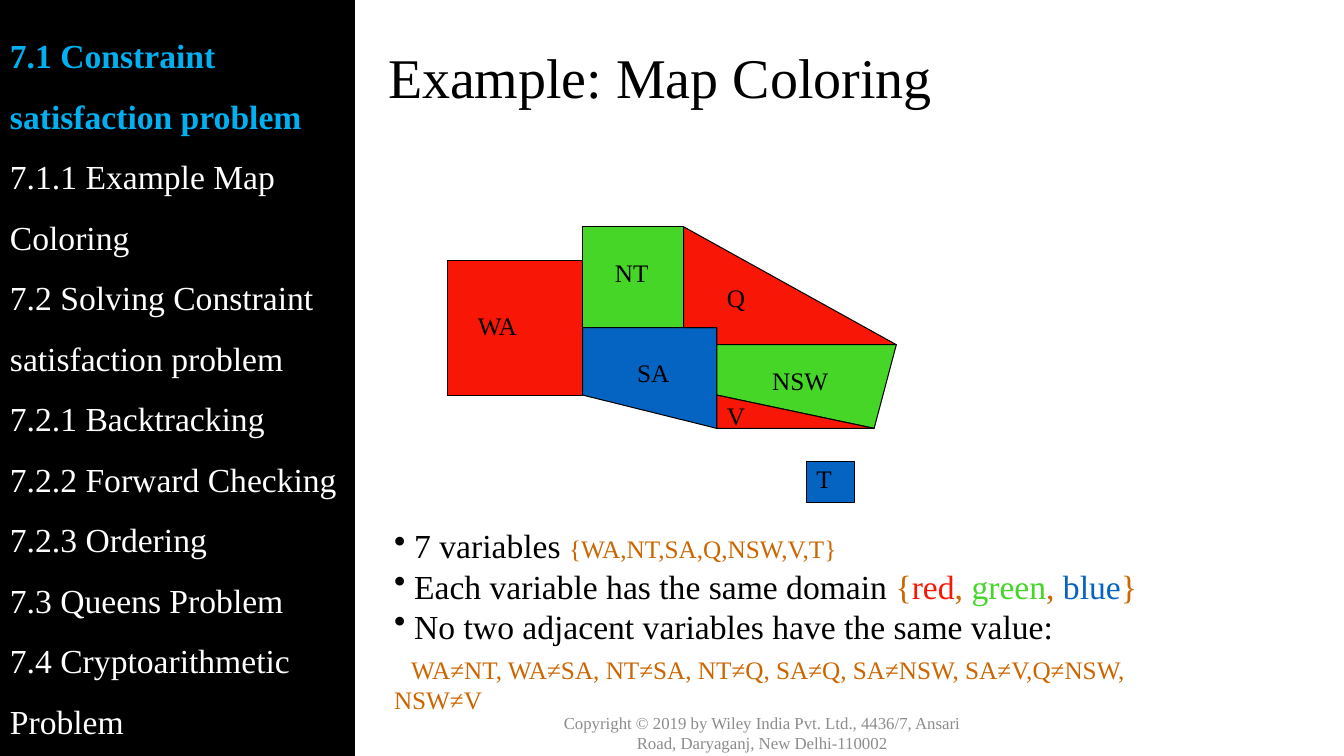
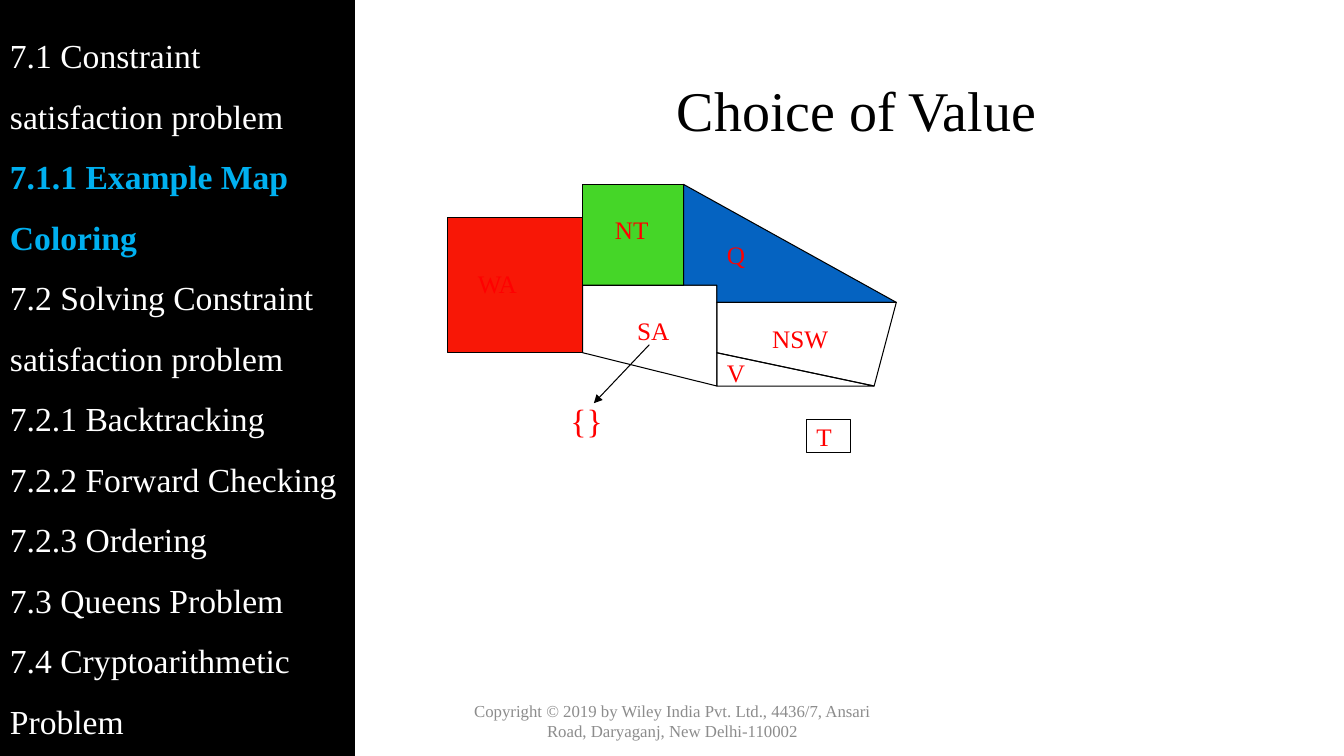
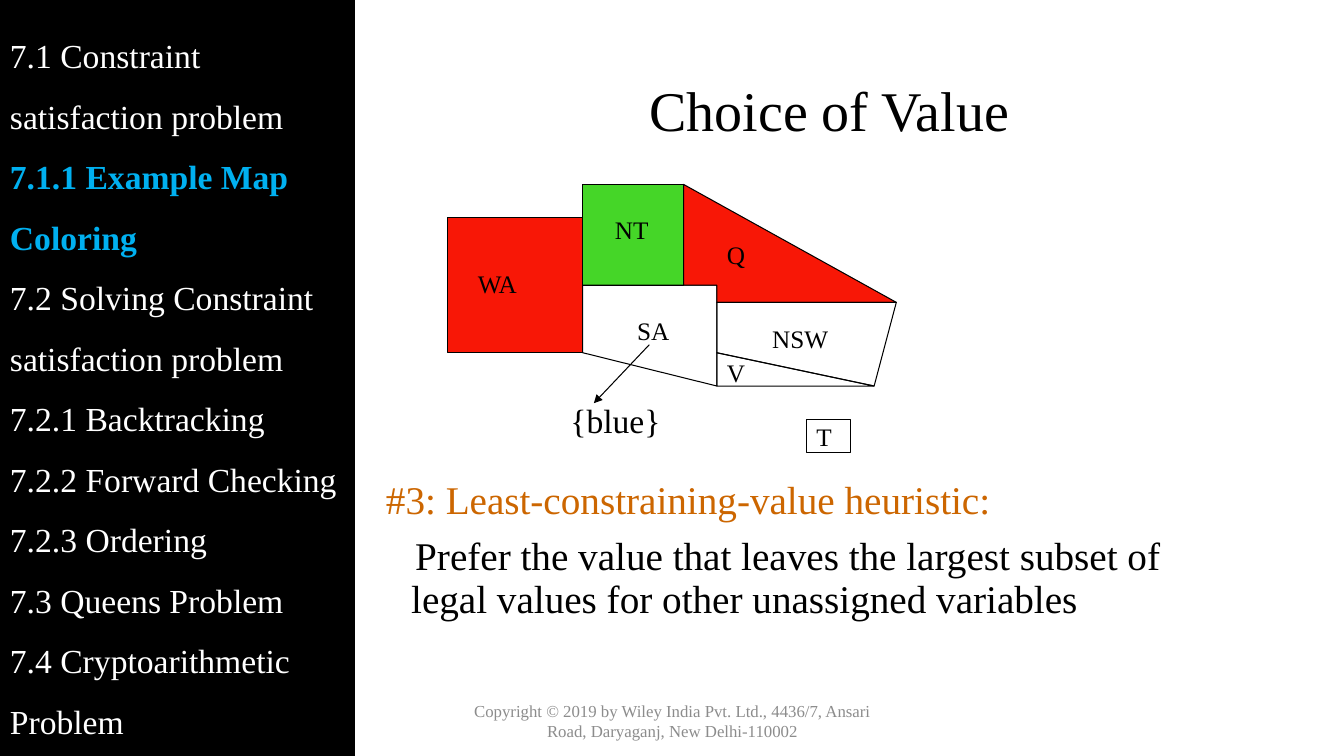
"""Build three slides on map coloring as a constraint satisfaction problem."""
from dataclasses import dataclass

from lxml.etree import SubElement
from pptx import Presentation
from pptx.dml.color import RGBColor
from pptx.enum.shapes import MSO_CONNECTOR as Link, MSO_SHAPE as Form
from pptx.enum.text import MSO_ANCHOR as Anchor, PP_ALIGN as Align
from pptx.oxml.ns import qn
from pptx.util import Inches, Pt


@dataclass(frozen=True)
class Theme:
    font: str = "Times New Roman"
    black: str = "000000"
    white: str = "FFFFFF"
    sky: str = "00B0F0"
    grey: str = "8C8C8C"
    orange: str = "CC6600"
    red: str = "F81706"
    green: str = "45D628"
    blue: str = "0563C1"
    alert: str = "FF0000"
    title: int = 40
    body: int = 28
    text: int = 24
    label: int = 18
    foot: int = 12
    line: float = 0.75


def add_box(slide, at, anchor=Anchor.TOP, wrap=True):
    frame = slide.shapes.add_textbox(*map(Inches, at)).text_frame
    frame.word_wrap = wrap
    frame.vertical_anchor = anchor
    return frame


def set_para(para, runs, size, hue, align=Align.LEFT, lead=1.0, indent=None):
    if indent:
        props = para._p.get_or_add_pPr()
        props.set("marL", str(Inches(indent[0])))
        props.set("indent", str(Inches(indent[1])))
        if len(indent) > 2:
            SubElement(props, qn("a:buChar")).set("char", indent[2])
    para.alignment = align
    para.line_spacing = lead
    para.font.name = theme.font
    para.font.size = Pt(size)
    para.font.color.rgb = RGBColor.from_string(hue)
    for text, tint, points in runs:
        run = para.add_run()
        run.text = text
        if tint != hue:
            run.font.color.rgb = RGBColor.from_string(tint)
        if points != size:
            run.font.size = Pt(points)


theme = Theme()
topics = [
    "7.1 Constraint satisfaction problem",
    "7.1.1 Example Map Coloring",
    "7.2 Solving Constraint satisfaction problem",
    "7.2.1 Backtracking",
    "7.2.2 Forward Checking",
    "7.2.3 Ordering",
    "7.3 Queens Problem",
    "7.4 Cryptoarithmetic Problem",
]
notice = "Copyright © 2019 by Wiley India Pvt. Ltd., 4436/7, Ansari Road, Daryaganj, New Delhi-110002"

blocks = {"WA": (4.44, 0.33, 1.34, 1.34), "NT": (5.78, 0, 1, 1)}
outlines = {
    "SA": [(5.78, 1), (7.11, 1), (7.11, 2), (5.78, 1.67)],
    "Q": [(6.78, 0), (8.89, 1.17), (7.11, 1.17), (7.11, 1), (6.78, 1)],
    "NSW": [(7.11, 1.17), (7.11, 1.67), (8.67, 2), (8.89, 1.17)],
    "V": [(7.11, 1.67), (7.11, 2), (8.67, 2)],
}
labels = {
    "WA": (4.64, 0.78, 0.59),
    "NT": (6, 0.25, 0.54),
    "SA": (6.22, 1.25, 0.53),
    "Q": (7.11, 0.5, 0.38),
    "NSW": (7.56, 1.33, 0.76),
    "V": (7.11, 1.67, 0.38),
    "T": (8, 2.3, 0.36),
}
start = {"WA": theme.red, "NT": theme.green}
full = start | {"SA": theme.blue, "Q": theme.red, "NSW": theme.green,
                "V": theme.red, "T": theme.blue}

pages = [
    dict(title="Example: Map Coloring", place=(3.75, 0.18, 8.05, 1.23),
         align=Align.LEFT, topic=0, top=2.25, hues=full, ink=theme.black,
         isle=(0.48, 0.41), foot=(5.31, 7.07), choice=None),
    dict(title="Choice of Value", place=(4.57, 0.4, 7.85, 1.45),
         align=Align.CENTER, topic=1, top=1.83, hues=start | {"Q": theme.blue},
         ink=theme.alert, isle=(0.44, 0.33), foot=(4.42, 6.95), choice=("{}", 0.53)),
    dict(title="Choice of Value", place=(4.03, 0.4, 8.39, 1.45),
         align=Align.CENTER, topic=1, top=1.83, hues=start | {"Q": theme.red},
         ink=theme.black, isle=(0.44, 0.33), foot=(4.42, 6.95), choice=("{blue}", 1.1)),
]

deck = Presentation()
deck.slide_width, deck.slide_height = Inches(13.33), Inches(7.5)
slides = []

for page in pages:
    slide = deck.slides.add_slide(deck.slide_layouts[6])
    slides.append(slide)
    shapes = slide.shapes

    frame = add_box(slide, page["place"], Anchor.MIDDLE)
    set_para(frame.paragraphs[0], [(page["title"], theme.black, theme.title)],
             theme.title, theme.black, page["align"], 0.9)

    top = page["top"]
    areas = {}
    for name, (x, y, w, h) in (blocks | {"T": (8, 2.33, *page["isle"])}).items():
        areas[name] = shapes.add_shape(Form.RECTANGLE, *map(Inches, (x, top + y, w, h)))
    for name, points in outlines.items():
        spots = [(Inches(x), Inches(top + y)) for x, y in points]
        pen = shapes.build_freeform(*spots[0])
        pen.add_line_segments(spots[1:])
        areas[name] = pen.convert_to_shape()
    for name, area in areas.items():
        area.shadow.inherit = False
        area.line.color.rgb = RGBColor.from_string(theme.black)
        area.line.width = Pt(theme.line)
        if name in page["hues"]:
            area.fill.solid()
            area.fill.fore_color.rgb = RGBColor.from_string(page["hues"][name])
        else:
            area.fill.background()
    for name, (x, y, w) in labels.items():
        frame = add_box(slide, (x, top + y, w, 0.4), wrap=False)
        set_para(frame.paragraphs[0], [(name, page["ink"], theme.label)],
                 theme.label, page["ink"])

    if page["choice"]:
        text, width = page["choice"]
        frame = add_box(slide, (5.56, 3.92, width, 0.51), wrap=False)
        set_para(frame.paragraphs[0], [(text, page["ink"], theme.text)],
                 theme.text, page["ink"])
        arrow = shapes.add_connector(Link.STRAIGHT, *map(Inches, (6.44, 3.42, 5.89, 4)))
        arrow.line.color.rgb = RGBColor.from_string(theme.black)
        arrow.line.width = Pt(theme.line)
        SubElement(arrow.line._get_or_add_ln(), qn("a:tailEnd")).set("type", "triangle")
        SubElement(arrow._element.spPr, qn("a:effectLst"))

    band = shapes.add_shape(Form.RECTANGLE, 0, 0, Inches(3.52), deck.slide_height)
    band.shadow.inherit = False
    band.fill.solid()
    band.fill.fore_color.rgb = RGBColor.from_string(theme.black)
    band.line.fill.background()
    frame = band.text_frame
    frame.word_wrap = True
    frame.vertical_anchor = Anchor.MIDDLE
    for rank, topic in enumerate(topics):
        para = frame.add_paragraph() if rank else frame.paragraphs[0]
        active = rank == page["topic"]
        hue = theme.sky if active else theme.white
        set_para(para, [(topic, hue, theme.text)], theme.text, hue, lead=1.5)
        para.font.bold = active

    frame = add_box(slide, (*page["foot"], 4.5, 0.4), Anchor.MIDDLE)
    set_para(frame.paragraphs[0], [(notice, theme.grey, theme.foot)],
             theme.foot, theme.grey, Align.CENTER)

facts = [
    [("7 variables ", theme.black, theme.text),
     ("{WA,NT,SA,Q,NSW,V,T}", theme.orange, theme.label)],
    [(text, hue, theme.text) for text, hue in (
        ("Each variable has the same domain ", theme.black), ("{", theme.orange),
        ("red", theme.red), (", ", theme.orange), ("green", theme.green),
        (", ", theme.orange), ("blue", theme.blue), ("}", theme.orange))],
    [("No two adjacent variables have the same value:", theme.black, theme.text)],
]
frame = add_box(slides[0], (3.81, 5.16, 8.26, 2.02))
for rank, runs in enumerate(facts):
    para = frame.add_paragraph() if rank else frame.paragraphs[0]
    set_para(para, runs, theme.text, theme.black, indent=(0.2, -0.2, "•"))
rules = "WA≠NT, WA≠SA, NT≠SA, NT≠Q, SA≠Q, SA≠NSW, SA≠V,Q≠NSW, NSW≠V"
para = frame.add_paragraph()
set_para(para, [(rules, theme.orange, theme.label)], theme.label, theme.orange,
         indent=(0, 0.17))
para.space_before = Pt(6)

frame = add_box(slides[2], (3.73, 4.72, 8.53, 1.83))
set_para(frame.paragraphs[0],
         [("#3: Least-constraining-value heuristic:", theme.orange, theme.body)],
         theme.body, theme.orange, lead=0.9, indent=(0.25, -0.25))
advice = "Prefer the value that leaves the largest subset of legal values for other unassigned variables"
para = frame.add_paragraph()
set_para(para, [(advice, theme.black, theme.body)], theme.body, theme.black,
         lead=0.9, indent=(0.25, 0.04))
para.space_before = Pt(10)

deck.save("out.pptx")
